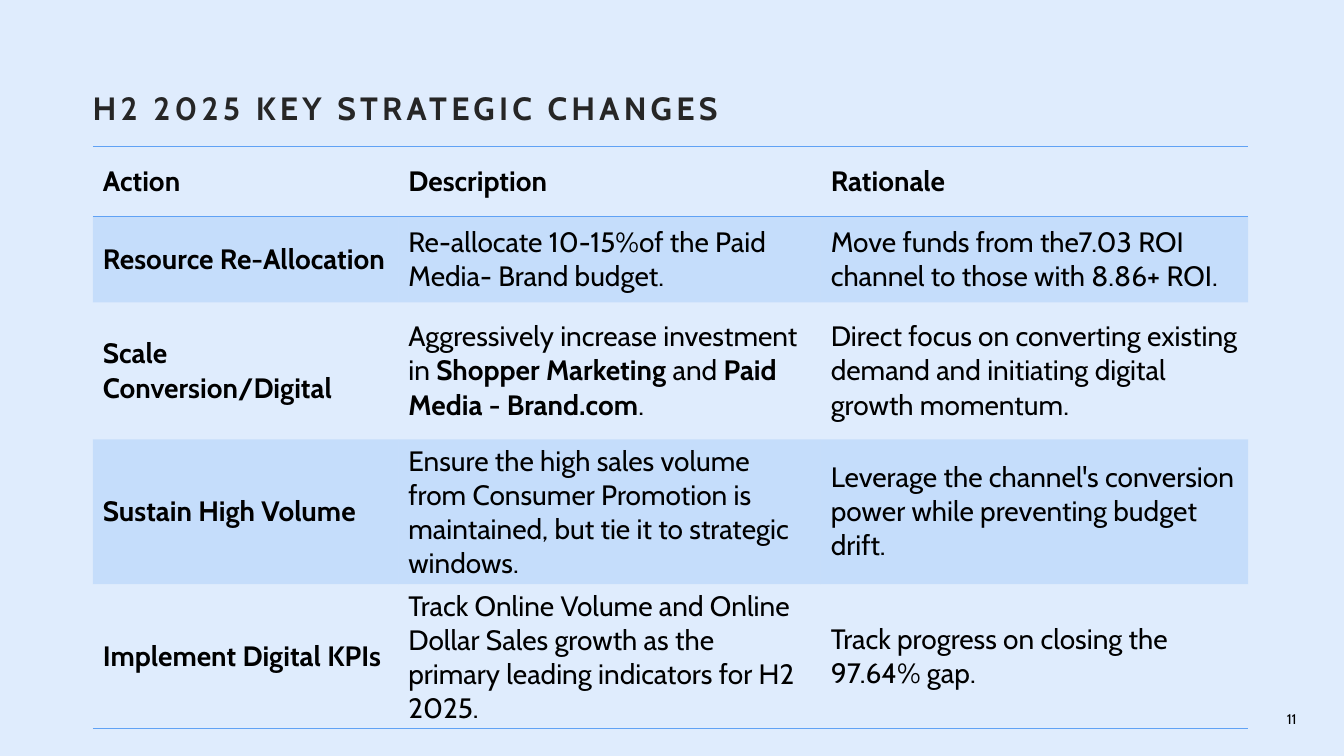
from lxml.etree import SubElement
from pptx import Presentation
from pptx.dml.color import RGBColor
from pptx.enum.text import MSO_ANCHOR, PP_ALIGN
from pptx.oxml import parse_xml
from pptx.oxml.ns import nsdecls, qn
from pptx.util import Inches, Pt

FONT = "Cabin"
COLORS = {"background": "DFECFD", "title": "262626", "text": "000000", "accent": "60A2F5"}
NO_GRID_STYLE = "{2D5ABB26-0587-4C30-8999-92F81FD0307C}"
COLUMN_WIDTHS = [3.03, 4.19, 4.24]
ROW_HEIGHTS = [0.7, 0.85, 1.36, 1.36, 0.85]
HEADERS = ["Action", "Description", "Rationale"]
# A description is a list of text runs; every second one is bold.
CHANGES = [
    ("Resource Re-Allocation",
     ["Re-allocate 10-15%of the Paid Media- Brand budget."],
     "Move funds from the7.03 ROI channel to those with 8.86+ ROI."),
    ("Scale Conversion/Digital",
     ["Aggressively increase investment in ", "Shopper Marketing", " and ",
      "Paid Media - Brand.com", "."],
     "Direct focus on converting existing demand and initiating digital growth momentum."),
    ("Sustain High Volume",
     ["Ensure the high sales volume from Consumer Promotion is maintained, "
      "but tie it to strategic windows."],
     "Leverage the channel's conversion power while preventing budget drift."),
    ("Implement Digital KPIs",
     ["Track Online Volume and Online Dollar Sales growth as the primary "
      "leading indicators for H2 2025."],
     "Track progress on closing the 97.64% gap."),
]


def rgb(name):
    return RGBColor.from_string(COLORS[name])


def add_run(paragraph, text, size, color="text", bold=False):
    run = paragraph.add_run()
    run.text = text
    run.font.name = FONT
    run.font.size = Pt(size)
    run.font.bold = bold
    run.font.color.rgb = rgb(color)
    return run


def add_text_frame(slide, left, top, width, height):
    """Add a wrapping text box without margins and return its frame."""
    box = slide.shapes.add_textbox(Inches(left), Inches(top), Inches(width), Inches(height))
    frame = box.text_frame
    frame.word_wrap = True
    frame.margin_left = frame.margin_right = frame.margin_top = frame.margin_bottom = 0
    return frame


def add_title(slide, text):
    paragraph = add_text_frame(slide, 0.92, 0.92, 11.46, 0.61).paragraphs[0]
    paragraph.line_spacing = 0.9
    run = add_run(paragraph, text, 23, "title", bold=True)
    run.font._element.set("spc", "300")


def add_page_number(slide, number):
    frame = add_text_frame(slide, 11.94, 6.98, 0.92, 0.31)
    frame.vertical_anchor = MSO_ANCHOR.MIDDLE
    frame.paragraphs[0].alignment = PP_ALIGN.RIGHT
    add_run(frame.paragraphs[0], number, 10)


def shade(cell):
    """Fill a cell with the accent colour at 20 % opacity."""
    cell.fill.solid()
    cell.fill.fore_color.rgb = rgb("accent")
    color = cell._tc.tcPr.find(f".//{qn('a:srgbClr')}")
    SubElement(color, qn("a:alpha"), val="20000")


def add_borders(cell, edges):
    for index, edge in enumerate(edges):
        line = parse_xml(
            f'<a:ln{edge} {nsdecls("a")} w="12700"><a:solidFill>'
            f'<a:srgbClr val="{COLORS["accent"]}"/></a:solidFill></a:ln{edge}>')
        cell._tc.tcPr.insert(index, line)


def fill_cell(cell, runs, first_bold):
    """Write runs whose weight alternates, starting with first_bold."""
    cell.vertical_anchor = MSO_ANCHOR.MIDDLE
    for index, text in enumerate(runs):
        add_run(cell.text_frame.paragraphs[0], text, 20, bold=first_bold != bool(index % 2))


def add_changes_table(slide):
    rows = [HEADERS, *CHANGES]
    frame = slide.shapes.add_table(
        len(rows), len(HEADERS), Inches(0.92), Inches(1.45),
        Inches(sum(COLUMN_WIDTHS)), Inches(sum(ROW_HEIGHTS)))
    table = frame.table
    table._tbl.tblPr.find(qn("a:tableStyleId")).text = NO_GRID_STYLE
    for column, width in zip(table.columns, COLUMN_WIDTHS):
        column.width = Inches(width)
    for row, height in zip(table.rows, ROW_HEIGHTS):
        row.height = Inches(height)

    edges_by_row = {0: "TB", len(rows) - 1: "B"}
    for r, contents in enumerate(rows):
        for c, content in enumerate(contents):
            cell = table.cell(r, c)
            runs = content if isinstance(content, list) else [content]
            fill_cell(cell, runs, first_bold=r == 0 or c == 0)
            if r % 2:
                shade(cell)
            else:
                cell.fill.background()
            add_borders(cell, edges_by_row.get(r, ""))


def main():
    presentation = Presentation()
    presentation.slide_width = Inches(13.33)
    presentation.slide_height = Inches(7.5)
    slide = presentation.slides.add_slide(presentation.slide_layouts[6])
    slide.background.fill.solid()
    slide.background.fill.fore_color.rgb = rgb("background")
    add_title(slide, "H2 2025 KEY STRATEGIC CHANGES")
    add_changes_table(slide)
    add_page_number(slide, "11")
    presentation.save("out.pptx")


if __name__ == "__main__":
    main()
